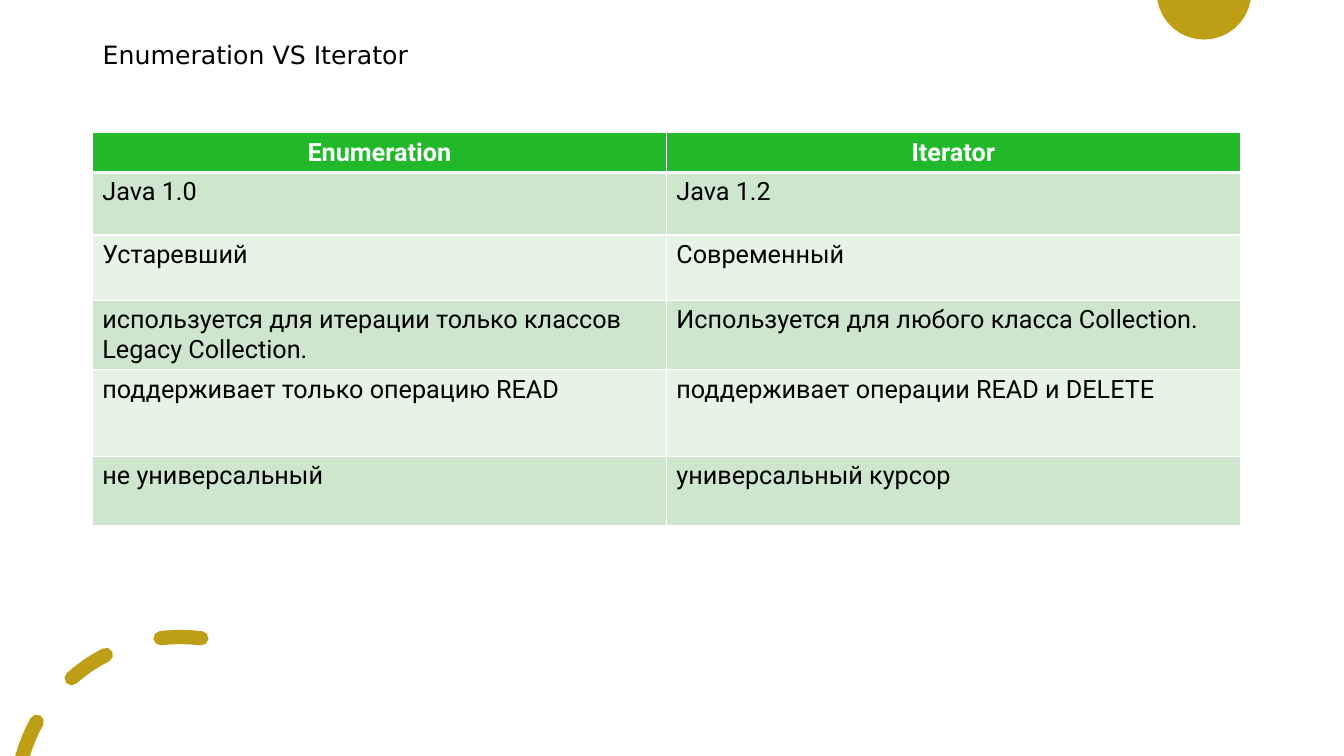
from math import asin, cos, degrees, radians, sin

from lxml.etree import SubElement
from pptx import Presentation
from pptx.dml.color import RGBColor as RGB
from pptx.enum.text import MSO_ANCHOR as ANCHOR, PP_ALIGN as ALIGN
from pptx.oxml.ns import qn
from pptx.util import Pt

COLORS = {"gold": "BE9E15", "green": "21B92A", "mid": "CDE6CD",
          "pale": "E8F3E8", "white": "FFFFFF", "black": "000000"}
WIDE, HIGH = 960, 540

deck = Presentation()
deck.slide_width, deck.slide_height = Pt(WIDE), Pt(HIGH)
slide = deck.slides.add_slide(deck.slide_layouts[5])


def arc(x, y, r, start, end, steps=4):
    """Points along an arc, angles in degrees clockwise from the right."""
    turns = [radians(start + (end - start) * i / steps) for i in range(steps + 1)]
    return [(x + r * cos(t), y + r * sin(t)) for t in turns]


def draw(parts):
    """One gold shape made of closed outlines."""
    parts = [[(Pt(x), Pt(y)) for x, y in part] for part in parts]
    pen = slide.shapes.build_freeform(*parts[0][0], scale=1.0)
    for i, part in enumerate(parts):
        if i:
            pen.move_to(*part[0])
        pen.add_line_segments(part[1:], close=True)
    shape = pen.convert_to_shape()
    shape.shadow.inherit = False
    shape.fill.solid()
    shape.fill.fore_color.rgb = RGB.from_string(COLORS["gold"])
    shape.line.fill.background()


# Disc at the top edge
draw([arc(860, -5.5, 33.8, 9.4, 170.6, 16)])

# Dashed ring with round ends, cut flat at the bottom edge
mid_x, mid_y, radius, half = 129, 572.4, 117.4, 5.1
outer, inner = radius + half, radius - half
cut_out, cut_in = [180 + degrees(asin((mid_y - HIGH) / r)) for r in (outer, inner)]
dashes = []
for start, end in [(190, 209), (228.5, 243), (263, 277.3)]:
    tail, head = arc(mid_x, mid_y, radius, start, end, 1)
    cap = arc(*tail, half, start + 180, start + 360)
    dashes.append(arc(mid_x, mid_y, outer, max(start, cut_out), end)
                  + arc(*head, half, end, end + 180)[1:]
                  + arc(mid_x, mid_y, inner, end, max(start, cut_in))[1:]
                  + [(x, y) for x, y in cap[1:-1] if y < HIGH])
draw(dashes)

# Title, first line of two
title = slide.shapes.title
place = {"left": 66.2, "top": 28.8, "width": 820, "height": 43.9}
for name, value in place.items():
    setattr(title, name, Pt(value))
title.text_frame.text = "Enumeration VS Iterator"
title.text_frame.vertical_anchor = ANCHOR.MIDDLE
line = title.text_frame.paragraphs[0]
line.add_line_break()
line.alignment, line.line_spacing = ALIGN.LEFT, 0.9
for font in (line.font, line.runs[0].font):
    for name, value in {"size": Pt(18), "name": "DejaVu Sans"}.items():
        setattr(font, name, value)
    font.color.rgb = RGB.from_string(COLORS["black"])

# Table
rows = [
    ("Enumeration", "Iterator"),
    ("Java 1.0", "Java 1.2"),
    ("Устаревший", "Современный"),
    ("используется для итерации только классов Legacy Collection.",
     "Используется для любого класса Collection."),
    ("поддерживает только операцию READ", "поддерживает операции READ и DELETE"),
    ("не универсальный", "универсальный курсор"),
]
heights = [19.4, 44.6, 46.8, 29.5, 62, 49]
frame = slide.shapes.add_table(
    len(rows), 2, Pt(66), Pt(94.9), Pt(820), Pt(281.5))
table = frame.table
for col in table.columns:
    col.width = Pt(410)

for i, (texts, height) in enumerate(zip(rows, heights)):
    table.rows[i].height = Pt(height)
    top = i == 0
    back = "green" if top else "mid" if i % 2 else "pale"
    for j, text in enumerate(texts):
        cell = table.cell(i, j)
        cell.text = text
        line = cell.text_frame.paragraphs[0]
        line.alignment = ALIGN.CENTER if top else ALIGN.LEFT
        font = line.runs[0].font
        for name, value in {"size": Pt(18), "name": "Roboto", "bold": top}.items():
            setattr(font, name, value)
        font.color.rgb = RGB.from_string(COLORS["white" if top else "black"])

        # White borders, thick below the header
        props = cell._tc.get_or_add_tcPr()
        for side in "LRTB":
            thick = top and side == "B"
            edge = SubElement(props, qn(f"a:ln{side}"), w=str(Pt(3 if thick else 1)))
            paint = SubElement(edge, qn("a:solidFill"))
            SubElement(paint, qn("a:srgbClr"), val=COLORS["white"])
        cell.fill.solid()
        cell.fill.fore_color.rgb = RGB.from_string(COLORS[back])
frame.height = Pt(281.5)

deck.save("out.pptx")
